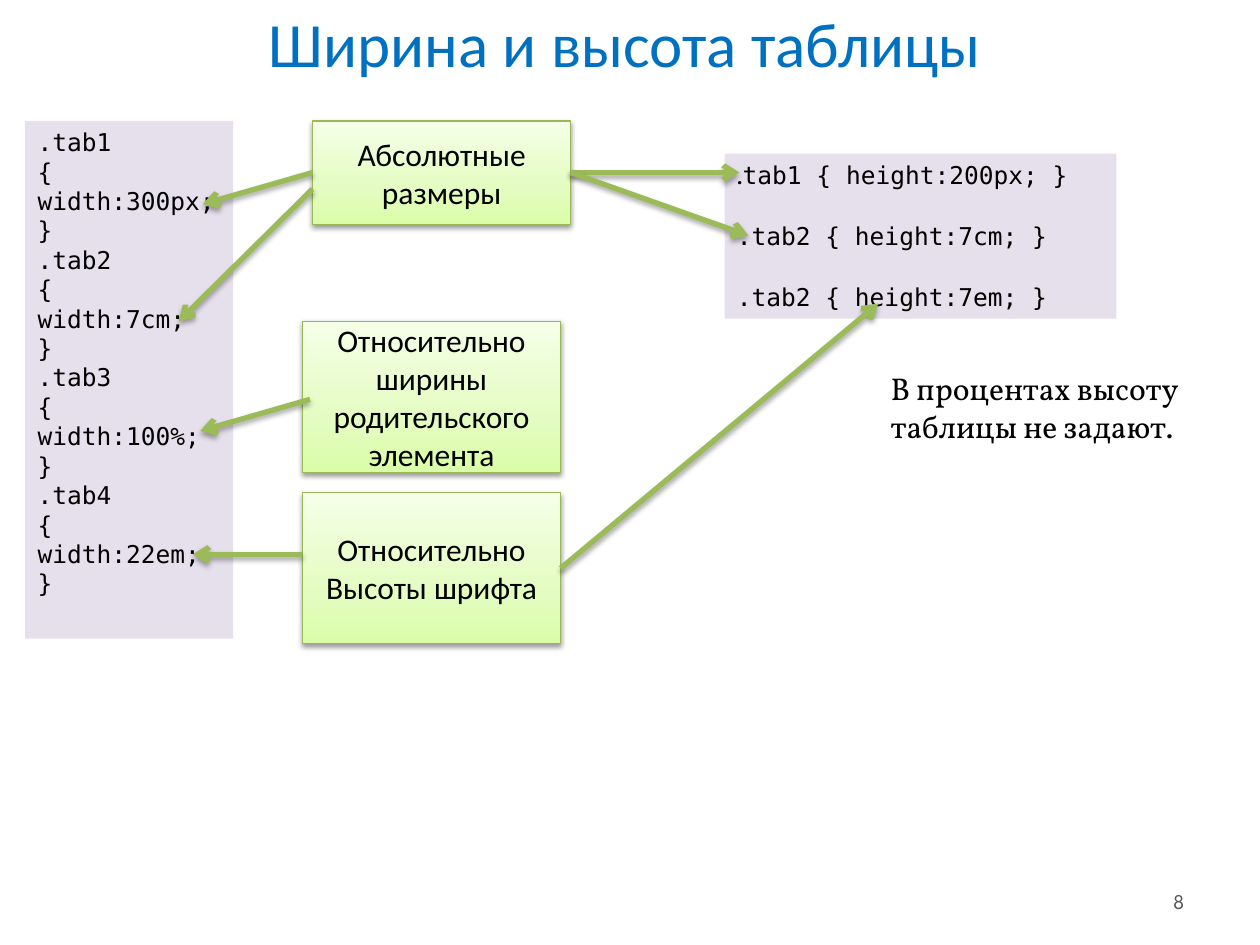
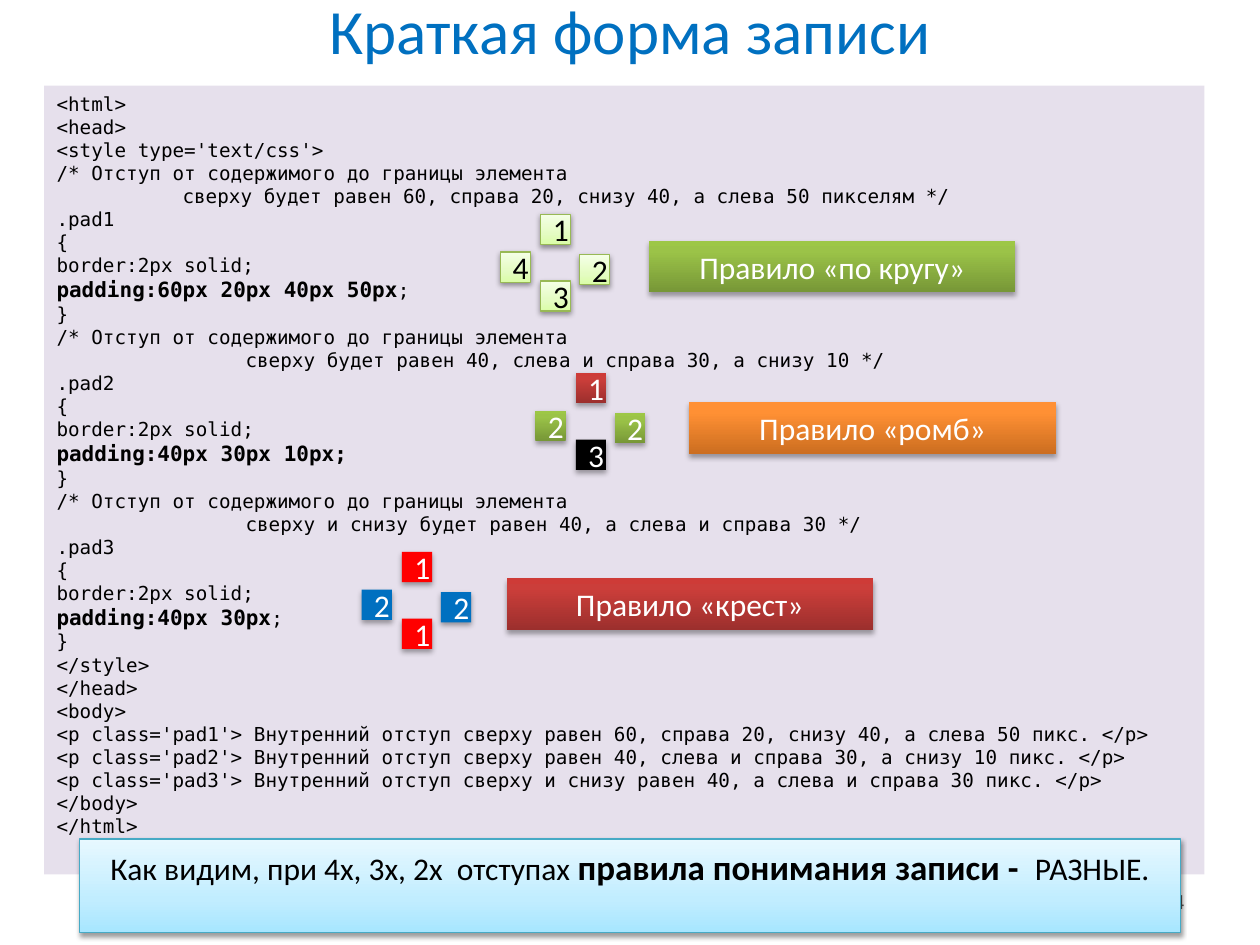
from copy import deepcopy
from dataclasses import dataclass

from lxml import etree
from pptx import Presentation
from pptx.dml.color import RGBColor
from pptx.enum.shapes import MSO_CONNECTOR, MSO_SHAPE
from pptx.enum.text import MSO_ANCHOR, MSO_AUTO_SIZE, PP_ALIGN
from pptx.oxml.ns import qn
from pptx.util import Inches, Pt


@dataclass(frozen=True)
class Theme:
    title: str = "0070C0"
    ink: str = "000000"
    white: str = "FFFFFF"
    number: str = "595959"
    code_fill: str = "E6E0EC"
    arrow: str = "9BBB59"
    red: str = "FF0000"
    blue: str = "0070C0"
    green_edge: str = "98B955"
    blue_edge: str = "46AAC5"
    body_font: str = "Calibri"
    code_font: str = "DejaVu Sans Mono"
    note_font: str = "Vollkorn"
    number_font: str = "League Spartan"
    title_size: int = 36
    strong_size: int = 20
    body_size: int = 18
    code_size: int = 14
    small_bold_size: int = 12
    small_code_size: int = 11
    number_size: int = 12
    # Gradients run from bottom to top: (position in percent, colour)
    pale_green: tuple = ((0, "DAFDA7"), (35, "E4FCC2"), (100, "F5FFE7"))
    pale_blue: tuple = ((0, "A7E6FF"), (35, "C1EDFF"), (100, "E7F8FF"))
    deep_green: tuple = ((0, "779737"), (80, "9BC348"), (100, "9DC746"))
    deep_red: tuple = ((0, "9C2F2D"), (80, "CB3E3A"), (100, "CE3B37"))
    deep_orange: tuple = ((0, "CC6E20"), (80, "FF9034"), (100, "FF9136"))


THEME = Theme()
PLAIN = dict(fill=None, line=None, font=THEME.note_font, size=THEME.body_size,
             color=THEME.ink, align=PP_ALIGN.LEFT, anchor=MSO_ANCHOR.TOP, shadow=None)
CODE = PLAIN | dict(fill=THEME.code_fill, font=THEME.code_font, size=THEME.code_size)
NUMBER = PLAIN | dict(font=THEME.number_font, size=THEME.number_size, color=THEME.number,
                      align=PP_ALIGN.RIGHT, anchor=MSO_ANCHOR.MIDDLE)
# A shadow is (opacity in percent, distance in points)
SOFT_SHADOW, DEEP_SHADOW = (38, 1.6), (35, 1.8)
PALE = PLAIN | dict(fill=THEME.pale_green, line=THEME.green_edge, font=THEME.body_font,
                    align=PP_ALIGN.CENTER, anchor=MSO_ANCHOR.MIDDLE, shadow=SOFT_SHADOW)
DEEP = PALE | dict(line=None, color=THEME.white, shadow=DEEP_SHADOW)


def cast_shadow(item, opacity, distance):
    """Give a shape or connector a soft shadow straight below it."""
    props = item._element.spPr
    effects = props.find(qn("a:effectLst"))
    if effects is None:
        effects = etree.SubElement(props, qn("a:effectLst"))
    outer = etree.SubElement(effects, qn("a:outerShdw"), blurRad=str(Pt(3.1)),
                             dist=str(Pt(distance)), dir="5400000", rotWithShape="0")
    color = etree.SubElement(outer, qn("a:srgbClr"), val=THEME.ink)
    etree.SubElement(color, qn("a:alpha"), val=str(opacity * 1000))


def add_box(page, place, text, style):
    """Add a styled box; a bar in the text starts a new run."""
    area = [Inches(value) for value in place]
    fill = style["fill"]
    if fill is None:
        box = page.shapes.add_textbox(*area)
    else:
        box = page.shapes.add_shape(MSO_SHAPE.RECTANGLE, *area)
        box.shadow.inherit = False
        if isinstance(fill, tuple):
            box.fill.gradient()
            box.fill.gradient_angle = 90
            stop_list = box._element.spPr.find(".//" + qn("a:gsLst"))
            stop_list.append(deepcopy(stop_list[0]))
            for stop, (position, color) in zip(box.fill.gradient_stops, fill):
                stop.position = position / 100
                stop.color.rgb = RGBColor.from_string(color)
        else:
            box.fill.solid()
            box.fill.fore_color.rgb = RGBColor.from_string(fill)
        if style["line"]:
            box.line.color.rgb = RGBColor.from_string(style["line"])
            box.line.width = Pt(0.75)
        else:
            box.line.fill.background()
        if style["shadow"]:
            cast_shadow(box, *style["shadow"])
    frame = box.text_frame
    frame.word_wrap = True
    frame.vertical_anchor = style["anchor"]
    frame.text = text
    for para in frame.paragraphs:
        first, *others = para.text.split("|")
        para.text = first
        for part in others:
            para.add_run().text = part
        para.alignment = style["align"]
        for span in para.runs:
            span.font.name = style["font"]
            span.font.size = Pt(style["size"])
            span.font.color.rgb = RGBColor.from_string(style["color"])
    return box


deck = Presentation()
deck.slide_width, deck.slide_height = Inches(10), Inches(7.5)

# Titles and page numbers
pages = []
for heading, place, number in [
    ("Ширина и высота таблицы", (0.43, -0.02, 9.06, 0.71), "8"),
    ("Краткая форма записи", (0, -0.12, 10, 0.71), "24"),
]:
    page = deck.slides.add_slide(deck.slide_layouts[5])
    title = page.shapes.title
    title.left, title.top, title.width, title.height = [Inches(value) for value in place]
    title.text_frame.text = heading
    title.text_frame.auto_size = MSO_AUTO_SIZE.NONE
    title.text_frame.vertical_anchor = MSO_ANCHOR.MIDDLE
    para = title.text_frame.paragraphs[0]
    para.alignment = PP_ALIGN.CENTER
    font = para.runs[0].font
    font.name, font.size = THEME.body_font, Pt(THEME.title_size)
    font.color.rgb = RGBColor.from_string(THEME.title)
    add_box(page, (7.17, 6.95, 2.33, 0.4), number, NUMBER)
    pages.append(page)
size_page, short_page = pages

# Table width and height
widths = ["300px", "7cm", "100%", "22em"]
width_code = "\n".join(f".tab{index}\n{{\nwidth:{width};\n}}"
                       for index, width in enumerate(widths, 1))
add_box(size_page, (0.2, 0.96, 1.65, 4.11), width_code, CODE)
height_code = add_box(
    size_page, (5.75, 1.22, 3.11, 1.31),
    ".|tab1 { height:200px; }\n.tab2 { height:7cm; }\n.tab2 { height:7em; }", CODE)
for para in height_code.text_frame.paragraphs:
    para.space_after = Pt(18)
height_code.text_frame.paragraphs[0].runs[0].font.name = THEME.note_font

absolute = add_box(size_page, (2.48, 0.96, 2.05, 0.82), "Абсолютные размеры", PALE)
add_box(size_page, (2.4, 2.55, 2.05, 1.2),
        "Относительно\nширины родительского элемента", PALE)
by_font = add_box(size_page, (2.4, 3.91, 2.05, 1.2), "Относительно\nВысоты шрифта", PALE)

LEFT, RIGHT = 1, 3
for start, end, joint in [
    ((2.48, 1.37), (1.61, 1.62), (absolute, LEFT)),
    ((2.48, 1.5), (1.42, 2.55), None),
    ((2.46, 3.17), (1.59, 3.42), None),
    ((2.4, 4.4), (1.53, 4.4), None),
    ((4.53, 1.37), (5.87, 1.37), (absolute, RIGHT)),
    ((4.53, 1.37), (5.94, 1.87), (absolute, RIGHT)),
    ((4.45, 4.51), (6.97, 2.41), (by_font, RIGHT)),
]:
    arrow = size_page.shapes.add_connector(
        MSO_CONNECTOR.STRAIGHT, *[Inches(value) for value in start + end])
    if joint:
        arrow.begin_connect(*joint)
    arrow.line.color.rgb = RGBColor.from_string(THEME.arrow)
    arrow.line.width = Pt(3)
    etree.SubElement(arrow._element.spPr.find(qn("a:ln")), qn("a:tailEnd"), type="arrow")
    cast_shadow(arrow, *DEEP_SHADOW)

add_box(size_page, (6.97, 2.88, 2.84, 0.71), "В процентах высоту таблицы не задают.", PLAIN)

# Short notation: tabs before the comment, its ending, the padding, the paragraph text
paddings = [
    (2, "сверху будет равен 60, справа 20, снизу 40, а слева 50 пикселям",
     "60px 20px 40px 50px|;", "сверху равен 60, справа 20, снизу 40, а слева 50"),
    (3, "сверху будет равен 40, слева и справа 30, а снизу 10",
     "40px 30px 10px;", "сверху равен 40, слева и справа 30, а снизу 10"),
    (3, "сверху и снизу будет равен 40, а слева и справа 30",
     "40px 30px|;", "сверху и снизу равен 40, а слева и справа 30"),
]
code_lines = ["<html>", "<head>", "<style type='text/css'>"]
body_lines = []
for index, (tabs, comment, padding, sides) in enumerate(paddings, 1):
    code_lines += ["/* Отступ от содержимого до границы элемента",
                   "\t" * tabs + comment + " */",
                   f".pad{index}", "{", "border:2px solid;", f"padding:{padding}", "}"]
    body_lines.append(f"<p class='pad{index}'> Внутренний отступ {sides} пикс. </p>")
code_lines += ["</style>", "</head>", "<body>", *body_lines, "</body>", "</html>"]
listing = add_box(short_page, (0.35, 0.68, 9.21, 6.26), "\n".join(code_lines),
                  CODE | dict(size=THEME.small_code_size))
for para in listing.text_frame.paragraphs:
    if para.text.startswith("padding"):
        para.runs[0].font.bold = True
        para.runs[0].font.size = Pt(THEME.small_bold_size)

summary = add_box(
    short_page, (0.63, 6.66, 8.74, 0.74),
    "Как видим, при 4х, 3х, 2х  отступах |правила понимания записи -  |РАЗНЫЕ.",
    PALE | dict(fill=THEME.pale_blue, line=THEME.blue_edge, anchor=MSO_ANCHOR.TOP))
strong = summary.text_frame.paragraphs[0].runs[1].font
strong.bold, strong.size = True, Pt(THEME.strong_size)

# Each rule: a ring of sides (top, right, bottom, left) and a label
ring_offsets = [(0, 0), (0.31, 0.32), (0, 0.53), (-0.32, 0.3)]
red, green, black, bright_red, blue = [
    DEEP | dict(fill=fill)
    for fill in (THEME.deep_red, THEME.deep_green, THEME.ink, THEME.red, THEME.blue)]
for left, top, digits, styles, label, label_left, label_top, label_fill in [
    (4.29, 1.7, "1234", [PALE] * 4,
     "Правило «по кругу»", 5.15, 1.91, THEME.deep_green),
    (4.57, 2.96, "1232", [red, green, black, green],
     "Правило «ромб»", 5.47, 3.19, THEME.deep_orange),
    (3.19, 4.38, "1212", [bright_red, blue] * 2,
     "Правило «крест»", 4.02, 4.59, THEME.deep_red),
]:
    for (across, down), digit, style in zip(ring_offsets, digits, styles):
        add_box(short_page, (left + across, top + down, 0.24, 0.24), digit, style)
    add_box(short_page, (label_left, label_top, 2.91, 0.41), label,
            DEEP | dict(fill=label_fill))

deck.save("out.pptx")
